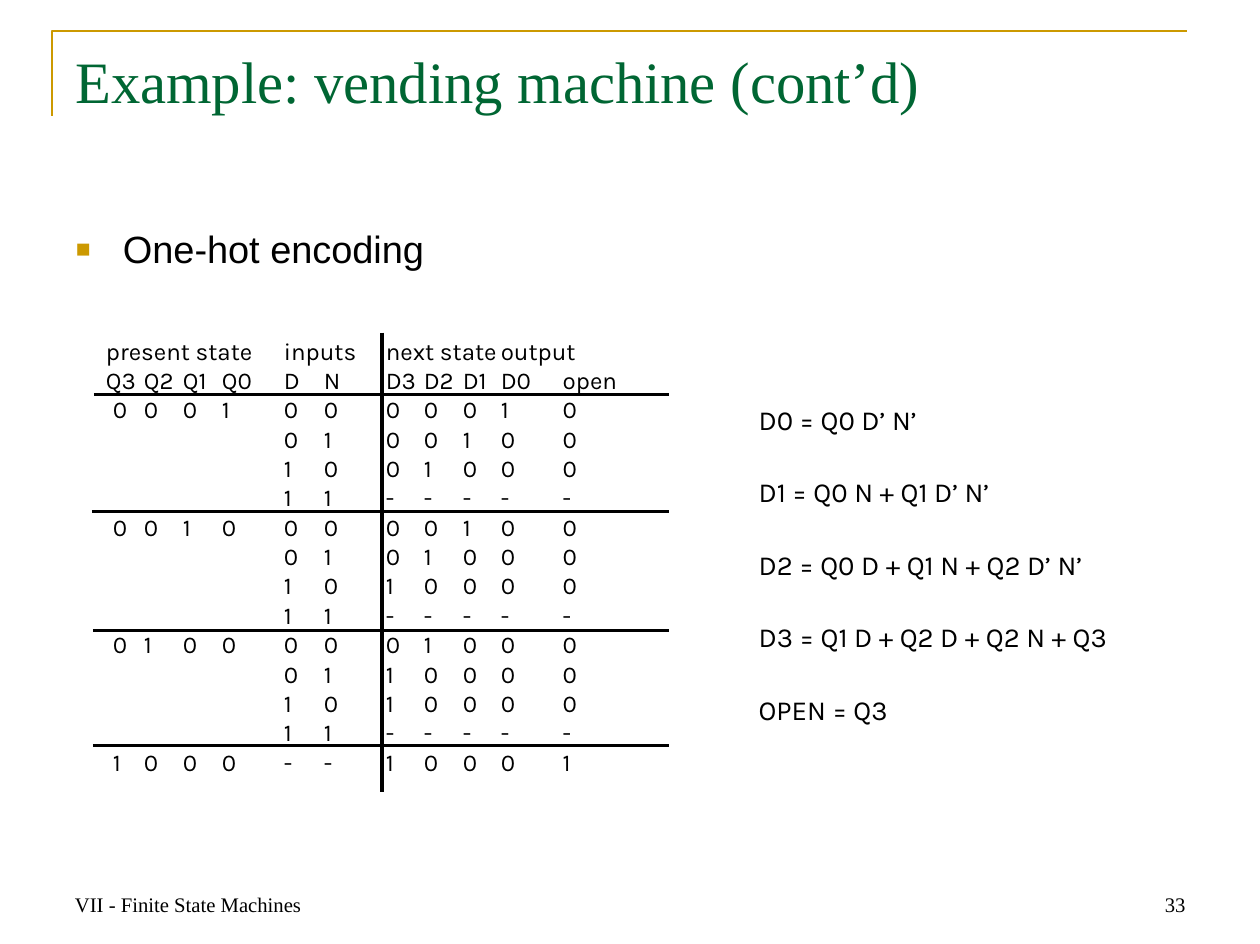
from lxml.etree import SubElement
from pptx import Presentation
from pptx.dml.color import RGBColor
from pptx.enum.shapes import MSO_CONNECTOR as Connector
from pptx.enum.text import MSO_ANCHOR as Anchor, MSO_AUTO_SIZE as AutoSize, PP_ALIGN as Align
from pptx.oxml.ns import qn
from pptx.util import Inches, Pt

PX = 7356  # EMU per px
BLACK = RGBColor(0x00, 0x00, 0x00)
GREEN = RGBColor(0x00, 0x66, 0x33)
GOLD = RGBColor(0xCC, 0x99, 0x00)
SERIF, SANS, KARLA = "Times New Roman", "Arial", "Karla"


def write(para, text, font, size, color=BLACK):
    span = para.add_run()
    span.text = text
    span.font.name = font
    span.font.size = Pt(size)
    span.font.color.rgb = color


def add_box(left, top, width, height, inset_x=12, inset_y=6):
    box = page.shapes.add_textbox(left * PX, top * PX, width * PX, height * PX)
    frame = box.text_frame
    frame.word_wrap = True
    frame.margin_left = frame.margin_right = inset_x * PX
    frame.margin_top = frame.margin_bottom = inset_y * PX
    return frame


deck = Presentation()
deck.slide_width = Inches(10.14)
deck.slide_height = Inches(7.6)
page = deck.slides.add_slide(deck.slide_layouts[5])

# Corner rule
outline = page.shapes.build_freeform(52, 116, scale=PX)
outline.add_line_segments([(52, 31), (1187, 31)], close=False)
corner = outline.convert_to_shape()
corner.shadow.inherit = False
corner.fill.background()
corner.line.color.rgb = GOLD
corner.line.width = Pt(1.5)

# Title
title = page.shapes.title
title.left, title.top, title.width, title.height = 63 * PX, 39 * PX, 1134 * PX, 157 * PX
title.text_frame.auto_size = AutoSize.NONE
title.text_frame.vertical_anchor = Anchor.TOP
para = title.text_frame.paragraphs[0]
para.alignment = Align.LEFT
write(para, "Example: vending machine (cont’d)", SERIF, 34, GREEN)

# Bullet
para = add_box(64, 220, 1134, 624).paragraphs[0]
props = para._p.get_or_add_pPr()
props.set("marL", str(47 * PX))
props.set("indent", str(-47 * PX))
SubElement(SubElement(props, qn("a:buClr")), qn("a:srgbClr")).set("val", str(GOLD))
SubElement(props, qn("a:buSzPct")).set("val", "65000")
SubElement(props, qn("a:buFont")).set("typeface", SANS)
SubElement(props, qn("a:buChar")).set("char", "■")
write(para, "One-hot encoding", SANS, 22)

# State listing on tab stops: each state opens a block of four input pairs
INPUTS = ["0 0", "0 1", "1 0", "1 1"]
STATES = {
    "0 0 0 1": ["0 0 0 1 0", "0 0 1 0 0", "0 1 0 0 0", "- - - - -"],
    "0 0 1 0": ["0 0 1 0 0", "0 1 0 0 0", "1 0 0 0 0", "- - - - -"],
    "0 1 0 0": ["0 1 0 0 0", "1 0 0 0 0", "1 0 0 0 0", "- - - - -"],
}
rows = [
    ["present state", "inputs", "next state", "output"],
    "Q3 Q2 Q1 Q0 D N D3 D2 D1 D0 open".split(),
]
for state, results in STATES.items():
    for index, (pair, result) in enumerate(zip(INPUTS, results)):
        present = [""] * 5 if index else state.split()
        rows.append([""] + present + pair.split() + result.split())
rows.append([""] + "1 0 0 0 - - 1 0 0 0 1".split())

TAB_STOPS = [7, 15, 38, 77, 116, 178, 218, 280, 318, 357, 395, 457]
para = add_box(103, 332, 563, 492, 3, 4).paragraphs[0]
para.line_spacing = Pt(17)
para.space_after = Pt(20)
tabs = SubElement(para._p.get_or_add_pPr(), qn("a:tabLst"))
for stop in TAB_STOPS:
    tab = SubElement(tabs, qn("a:tab"))
    tab.set("pos", str(stop * PX))
    tab.set("algn", "l")
for index, row in enumerate(rows):
    if index:
        para.add_line_break()
    write(para, "\t".join(row), KARLA, 14)

# Rules between the blocks, and between inputs and results
RULES = [(94, 395, 669, 395), (92, 512, 669, 512), (93, 631, 669, 631),
         (93, 746, 669, 746), (382, 333, 382, 793)]
for ends in RULES:
    rule = page.shapes.add_connector(Connector.STRAIGHT, *[end * PX for end in ends])
    rule.line.color.rgb = BLACK
    rule.line.width = Pt(2)
    SubElement(rule._element.spPr, qn("a:effectLst"))

# Equations
EQUATIONS = [
    "D0 = Q0 D’ N’",
    "D1 = Q0 N + Q1 D’ N’",
    "D2 = Q0 D + Q1 N + Q2 D’ N’",
    "D3 = Q1 D + Q2 D + Q2 N + Q3",
    "OPEN = Q3",
]
frame = add_box(756, 394, 436, 380, 3, 4)
for index, equation in enumerate(EQUATIONS):
    para = frame.add_paragraph() if index else frame.paragraphs[0]
    para.line_spacing = Pt(22)
    para.space_after = Pt(20)
    write(para, equation, KARLA, 16)

# Footer and page number
for left, text, align in [(63, "VII - Finite State Machines", Align.LEFT), (903, "33", Align.RIGHT)]:
    frame = add_box(left, 860, 295, 63)
    frame.vertical_anchor = Anchor.BOTTOM
    para = frame.paragraphs[0]
    para.alignment = align
    write(para, text, SERIF, 12)

deck.save("out.pptx")
